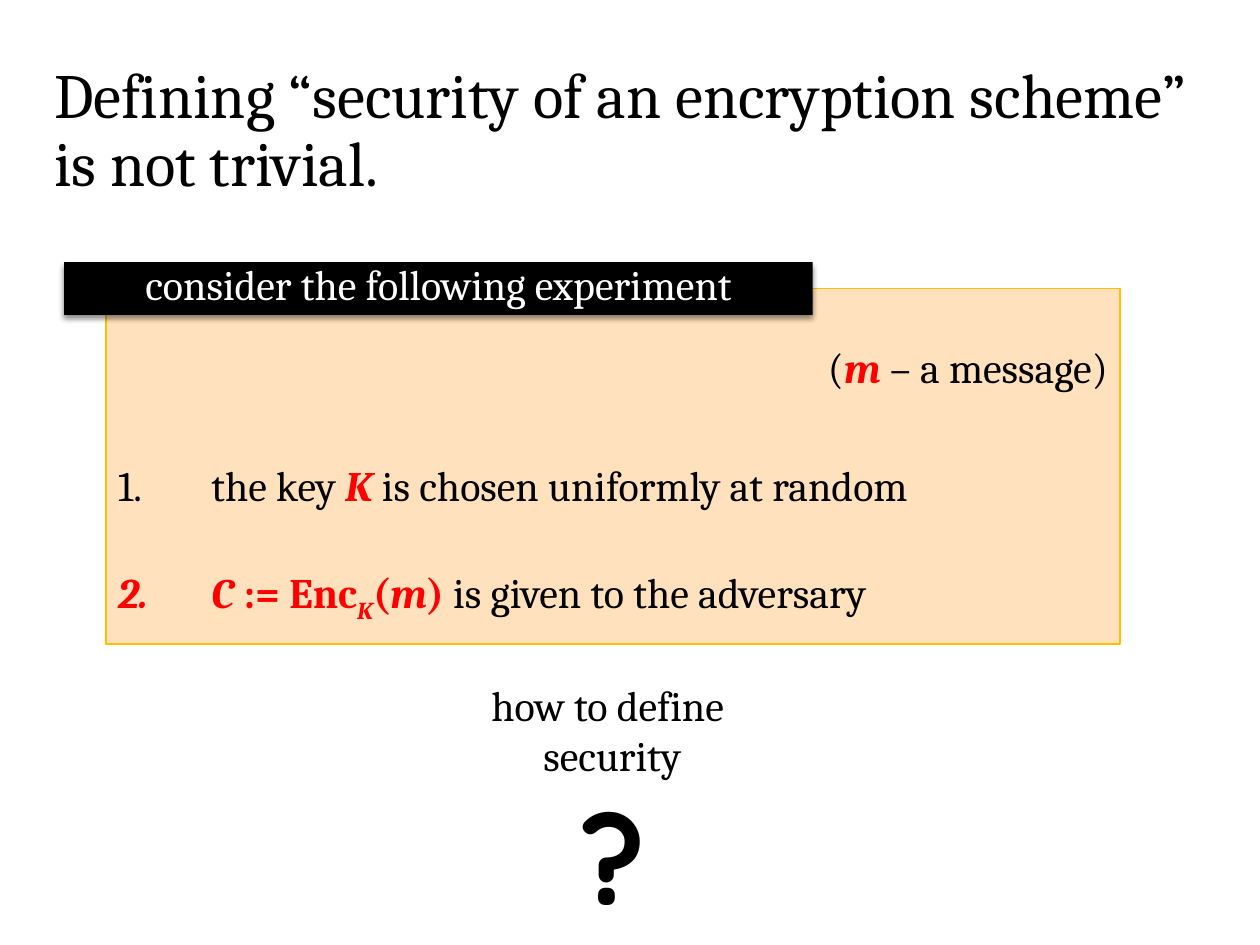
from lxml import etree
from pptx import Presentation
from pptx.dml.color import RGBColor
from pptx.enum.shapes import MSO_SHAPE as Shape
from pptx.enum.text import MSO_ANCHOR as Anchor, PP_ALIGN as Align
from pptx.oxml import parse_xml
from pptx.oxml.ns import nsdecls, qn
from pptx.util import Emu, Inches, Pt

BLACK, WHITE, RED = "000000", "FFFFFF", "FF0000"
PEACH, GOLD = "FFE2BD", "FFC000"


def color(code):
    return RGBColor.from_string(code)


def add_span(para, text, size=24, ink=BLACK, bold=False, italic=False, font="Cambria"):
    span = para.add_run()
    span.text = text
    span.font.name, span.font.size = font, Pt(size)
    span.font.bold, span.font.italic = bold, italic
    span.font.color.rgb = color(ink)
    return span


def add_term(para, text, italic=True):
    return add_span(para, text, ink=RED, bold=True, italic=italic)


def add_panel(page, box, fill, line=None):
    panel = page.shapes.add_shape(Shape.RECTANGLE, *box)
    panel.shadow.inherit = False
    panel.fill.solid()
    panel.fill.fore_color.rgb = color(fill)
    if line:
        panel.line.color.rgb = color(line)
        panel.line.width = Pt(0.79)
    else:
        panel.line.fill.background()
    panel.text_frame.word_wrap = True
    return panel


def number_item(para):
    props = para._p.get_or_add_pPr()
    props.set("marL", str(Inches(0.74)))
    props.set("indent", str(-Inches(0.74)))
    etree.SubElement(props, qn("a:buFont"), typeface="+mj-lt")
    etree.SubElement(props, qn("a:buAutoNum"), type="arabicPeriod")


def add_title(page, box):
    title = page.shapes.title
    title.left, title.top, title.width, title.height = box
    frame = title.text_frame
    frame.word_wrap = True
    frame.vertical_anchor = Anchor.MIDDLE
    para = frame.paragraphs[0]
    para.alignment, para.line_spacing = Align.LEFT, 0.9
    add_span(para, "Defining “security of an encryption scheme” is not trivial.", size=36)


def add_experiment(page, box):
    frame = add_panel(page, box, PEACH, GOLD).text_frame
    frame.vertical_anchor = Anchor.TOP
    frame.margin_top = Inches(0.5)

    # Message note
    note = frame.paragraphs[0]
    note.alignment = Align.RIGHT
    add_span(note, "(")
    add_term(note, "m")
    add_span(note, " – a message)")

    # Numbered steps
    key_step, cipher_step = frame.add_paragraph(), frame.add_paragraph()
    for step, gap in ((key_step, 44), (cipher_step, 36)):
        step.alignment = Align.LEFT
        step.space_before = Pt(gap)
        number_item(step)
    for para in frame.paragraphs:
        para.line_spacing = 0.8

    add_span(key_step, "the key ")
    add_term(key_step, "K")
    add_span(key_step, " is chosen uniformly at random")

    add_term(cipher_step, "C ")
    add_term(cipher_step, ":= Enc", italic=False)
    subscript = add_term(cipher_step, "K")
    subscript.font._element.set("baseline", "-25000")
    add_term(cipher_step, "(", italic=False)
    add_term(cipher_step, "m")
    add_term(cipher_step, ") ", italic=False)
    add_span(cipher_step, "is given to the adversary")


def add_banner(page, box):
    banner = add_panel(page, box, BLACK)
    effects = banner._element.spPr.find(qn("a:effectLst"))
    effects.append(parse_xml(
        f'<a:outerShdw {nsdecls("a")} blurRad="{Pt(3)}" dist="{Pt(2)}" dir="5400000" '
        f'rotWithShape="0"><a:srgbClr val="{BLACK}"><a:alpha val="45000"/></a:srgbClr>'
        '</a:outerShdw>'))
    banner.text_frame.vertical_anchor = Anchor.TOP
    para = banner.text_frame.paragraphs[0]
    para.alignment, para.line_spacing = Align.CENTER, 0.8
    add_span(para, "consider the following experiment", ink=WHITE)


def add_question(page, box):
    frame = page.shapes.add_textbox(*box).text_frame
    frame.word_wrap = True
    prompt, mark = frame.paragraphs[0], frame.add_paragraph()
    prompt.alignment = mark.alignment = Align.CENTER
    add_span(prompt, "how to define ")
    prompt.add_line_break()
    add_span(prompt, "security")
    add_span(mark, "?", size=72, bold=True, font="Quicksand")


def inches_box(*lengths) -> tuple[Emu, ...]:
    return tuple(Inches(length) for length in lengths)


def main():
    deck = Presentation()
    deck.slide_width, deck.slide_height = Inches(10), Inches(7.5)
    page = deck.slides.add_slide(deck.slide_layouts[5])
    add_title(page, inches_box(0.33, 0.42, 9.33, 1.25))
    add_experiment(page, inches_box(0.84, 2.29, 8.05, 2.82))
    add_banner(page, inches_box(0.51, 2.08, 5.94, 0.42))
    add_question(page, inches_box(3.61, 5.34, 2.5, 2.12))
    deck.save("out.pptx")


if __name__ == "__main__":
    main()
